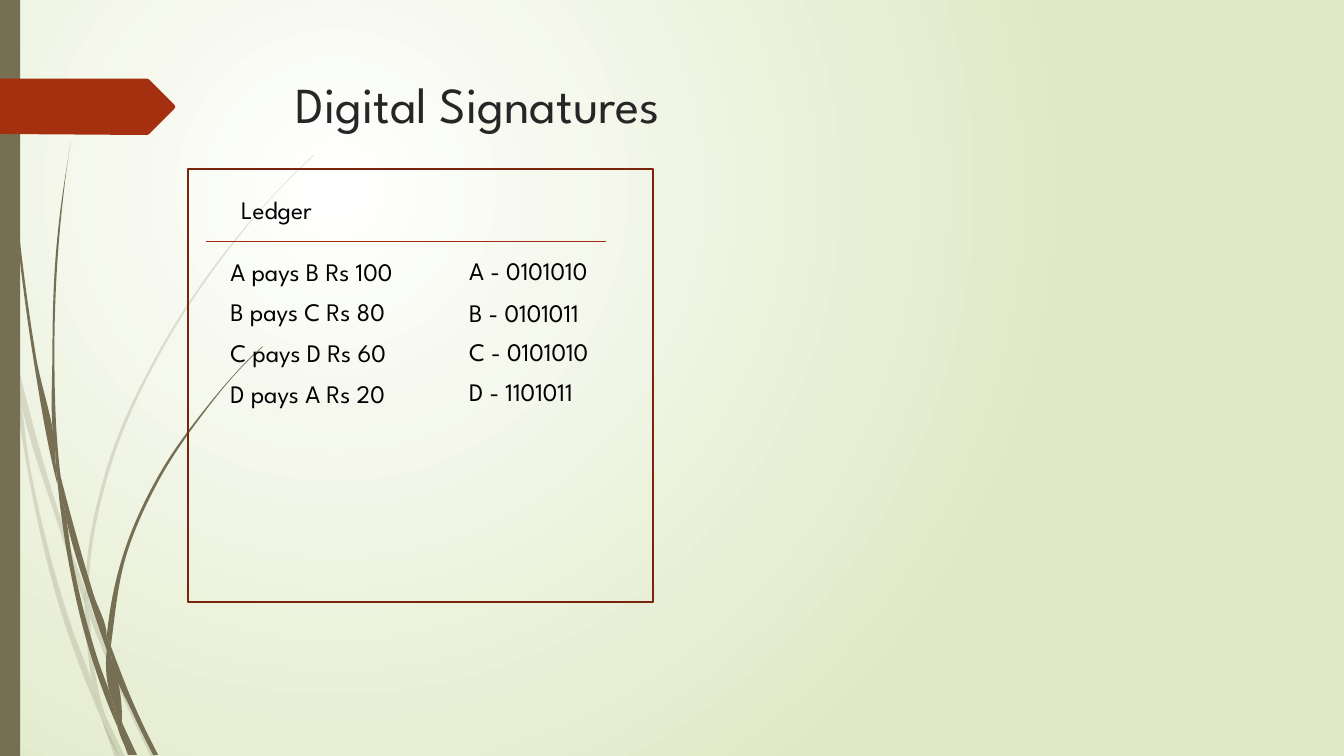
import math

import lxml.etree
import pptx
import pptx.dml.color
import pptx.enum.shapes
import pptx.enum.text
import pptx.oxml.ns
import pptx.util

FONT = "League Spartan"
OLIVE = "766F54"
GRID = 0.72  # points per unit in the outlines below

# Each grass blade piece is a pair of edges: one side out, the other side back
PALE_BLADES = [
    ([(11, 350), (9, 322), (0, 282)], [(0, 299), (10, 344), (11, 350)]),
    ([(14, 345), (17, 376), (58, 522), (84, 599)], [(85, 586), (62, 520), (14, 345)]),
    ([(88, 596), (92, 607), (127, 692), (155, 751)], [(150, 751), (123, 694), (88, 610)]),
    ([(105, 711), (124, 751)], [(119, 751), (105, 711)]),
    ([(11, 350), (17, 376), (31, 469), (70, 619), (93, 683), (99, 707), (101, 714)],
     [(101, 714), (92, 693), (65, 621), (28, 470), (11, 350)]),
    ([(84, 599), (87, 646), (93, 683), (96, 692), (105, 711)],
     [(105, 711), (103, 706), (91, 646), (88, 610), (84, 599)]),
    ([(85, 586), (85, 584), (107, 461), (158, 348), (228, 244), (268, 197), (289, 175), (312, 153)],
     [(312, 154), (290, 175), (268, 198), (229, 245), (160, 349), (110, 462), (88, 584), (88, 596)]),
    ([(101, 714), (114, 751)], [(119, 751), (101, 714)]),
    ([(88, 610), (88, 596)], [(85, 586), (84, 599), (88, 608)]),
    ([(93, 683), (99, 707), (101, 714), (119, 751)], [(119, 751), (105, 711), (96, 692), (93, 683)]),
]
DARK_BLADES = [
    ([(3, 0), (4, 48), (7, 110), (17, 233), (33, 355), (56, 477), (57, 481)],
     [(55, 457), (55, 453), (36, 355), (19, 232), (8, 109), (5, 48), (4, 0)]),
    ([(60, 472), (64, 505), (88, 592), (106, 645)], [(106, 633), (106, 631), (93, 590), (60, 472)]),
    ([(110, 641), (113, 649), (136, 706), (157, 749)], [(152, 749), (132, 708), (111, 656), (110, 641)]),
    ([(57, 477), (68, 557), (93, 659), (111, 708), (117, 722)],
     [(117, 722), (116, 717), (110, 691), (98, 657), (72, 556), (64, 505), (57, 477)]),
    ([(60, 472), (58, 453), (54, 349), (58, 245), (63, 193), (70, 141)],
     [(70, 141), (62, 193), (56, 245), (52, 349), (55, 449), (60, 472)]),
    ([(122, 719), (136, 749)], [(133, 749), (122, 719)]),
    ([(55, 449), (60, 472), (64, 505)], [(57, 477), (55, 453), (55, 449)]),
    ([(106, 631), (122, 551), (156, 474), (204, 405), (231, 373), (245, 358), (260, 344)],
     [(261, 344), (245, 359), (231, 374), (205, 406), (158, 476), (125, 552), (111, 633), (110, 641)]),
    ([(117, 722), (127, 749)], [(131, 749), (117, 722)]),
    ([(106, 645), (110, 691), (116, 706), (122, 719)], [(121, 716), (111, 656), (109, 651), (106, 645)]),
    ([(106, 631), (106, 645), (111, 656)], [(110, 641), (106, 631)]),
    ([(110, 691), (116, 717), (117, 722), (130, 749)], [(133, 749), (122, 719), (116, 706), (110, 691)]),
]
BANNER = [(0, 78), (146, 78), (148, 79), (173, 104), (174, 106), (173, 108),
          (148, 133), (146, 134), (0, 133)]

# Ledger lines with their tops
PAYMENTS = [("A pays B Rs 100", 179.3), ("B pays C Rs 80", 208.1),
            ("C pays D Rs 60", 237.6), ("D pays A Rs 20", 266.6)]
SIGNATURES = [("A - 0101010", 178.6), ("B - 0101011", 208.8),
              ("C - 0101010", 236.9), ("D - 1101011", 265)]


def color(hex_string):
    return pptx.dml.color.RGBColor.from_string(hex_string)


def slopes_along(points):
    """Return the direction of a smooth curve at each of its points."""
    lengths = [math.dist(a, b) for a, b in zip(points, points[1:])]
    chords = [[(q - p) / length for p, q in zip(a, b)]
              for a, b, length in zip(points, points[1:], lengths)]
    if len(chords) == 1:
        return chords * 2
    inner = [[(p * after + q * before) / (before + after) for p, q in zip(a, b)]
             for a, b, before, after in zip(chords, chords[1:], lengths, lengths[1:])]
    first = [2 * c - m for c, m in zip(chords[0], inner[0])]
    final = [2 * c - m for c, m in zip(chords[-1], inner[-1])]
    return [first] + inner + [final]


def bend(lines, points, shape):
    """Turn the straight segments along one edge into Bezier curves."""
    slopes = slopes_along(points)
    for index, line in enumerate(lines):
        start, end = points[index], points[index + 1]
        reach = math.dist(start, end) / 3
        controls = [[p + reach * m for p, m in zip(start, slopes[index])],
                    [p - reach * m for p, m in zip(end, slopes[index + 1])]]
        curve = lxml.etree.Element(pptx.oxml.ns.qn("a:cubicBezTo"))
        for x, y in controls:
            lxml.etree.SubElement(curve, pptx.oxml.ns.qn("a:pt"),
                                  x=str(pptx.util.Pt(x * GRID) - shape.left),
                                  y=str(pptx.util.Pt(y * GRID) - shape.top))
        curve.append(line[0])
        line.getparent().replace(line, curve)


def fill_plain(shape, fill):
    shape.shadow.inherit = False
    shape.fill.solid()
    shape.fill.fore_color.rgb = color(fill)
    shape.line.fill.background()


def add_outline(slide, points, fill):
    vertices = [(pptx.util.Pt(x * GRID), pptx.util.Pt(y * GRID)) for x, y in points]
    builder = slide.shapes.build_freeform(*vertices[0])
    builder.add_line_segments(vertices[1:], close=True)
    shape = builder.convert_to_shape()
    fill_plain(shape, fill)
    return shape


def add_blade(slide, outward, back, opacity):
    back = back[1:] if back[0] == outward[-1] else back
    shape = add_outline(slide, outward + back, OLIVE)
    lines = list(shape._element.iter(pptx.oxml.ns.qn("a:lnTo")))
    turn = len(outward) - 1
    bend(lines[:turn], outward, shape)
    if len(back) > 1:
        bend(lines[turn + 1:turn + len(back)], back, shape)
    if opacity < 100:
        rgb = shape.fill._xPr.find(".//" + pptx.oxml.ns.qn("a:srgbClr"))
        lxml.etree.SubElement(rgb, pptx.oxml.ns.qn("a:alpha"), val=str(opacity * 1000))


def add_rectangle(slide, left, top, width, height):
    return slide.shapes.add_shape(
        pptx.enum.shapes.MSO_SHAPE.RECTANGLE, pptx.util.Pt(left), pptx.util.Pt(top),
        pptx.util.Pt(width), pptx.util.Pt(height))


def add_text(slide, text, left, top, width=247.7, height=29.1, size=18, text_color="000000"):
    box = slide.shapes.add_textbox(pptx.util.Pt(left), pptx.util.Pt(top),
                                   pptx.util.Pt(width), pptx.util.Pt(height))
    box.text_frame.word_wrap = True
    box.text_frame.text = text
    font = box.text_frame.paragraphs[0].runs[0].font
    font.name, font.size = FONT, pptx.util.Pt(size)
    font.color.rgb = color(text_color)


def add_rule(slide, left, right, y):
    rule = slide.shapes.add_connector(
        pptx.enum.shapes.MSO_CONNECTOR.STRAIGHT, pptx.util.Pt(left), pptx.util.Pt(y),
        pptx.util.Pt(right), pptx.util.Pt(y))
    rule.line.color.rgb = color("9E2E0F")
    rule.line.width = pptx.util.Pt(0.75)
    lxml.etree.SubElement(rule._element.spPr, pptx.oxml.ns.qn("a:effectLst"))


def set_background(slide):
    fill = slide.background.fill
    fill.gradient()
    for position, (stop, shade) in enumerate(zip(fill.gradient_stops, ["FFFFFF", "DFE8C4"])):
        stop.color.rgb = color(shade)
        stop.position = position
    # Swap the linear direction for a circle centred in the upper left
    linear = fill._xPr.find(".//" + pptx.oxml.ns.qn("a:lin"))
    circle = lxml.etree.Element(pptx.oxml.ns.qn("a:path"), path="circle")
    lxml.etree.SubElement(circle, pptx.oxml.ns.qn("a:fillToRect"),
                          l="50000", t="50000", r="100000", b="100000")
    linear.getparent().replace(linear, circle)


def main():
    presentation = pptx.Presentation()
    presentation.slide_width, presentation.slide_height = pptx.util.Pt(960), pptx.util.Pt(540)
    slide = presentation.slides.add_slide(presentation.slide_layouts[6])
    set_background(slide)
    # Grass blades, side bar and banner
    for blades, opacity in ((PALE_BLADES, 20), (DARK_BLADES, 100)):
        for outward, back in blades:
            add_blade(slide, outward, back, opacity)
    fill_plain(add_rectangle(slide, 0, 0, 14.4, 540), OLIVE)
    add_outline(slide, BANNER, "A53010")
    # Title
    add_text(slide, "Digital Signatures", 204.2, 49, 702, 100.8, 36, "262626")
    # Ledger frame
    frame = add_rectangle(slide, 134.5, 120.7, 332.2, 309.2)
    frame.shadow.inherit = False
    frame.fill.background()
    frame.line.color.rgb = color("7A240C")
    frame.line.width = pptx.util.Pt(1.25)
    # Ledger heading and entries
    add_text(slide, "Ledger", 165.2, 135.4)
    add_rule(slide, 147.5, 433, 172.2)
    for left, entries in ((157.5, PAYMENTS), (328, SIGNATURES)):
        for entry, top in entries:
            add_text(slide, entry, left, top)
    presentation.save("out.pptx")


if __name__ == "__main__":
    main()
